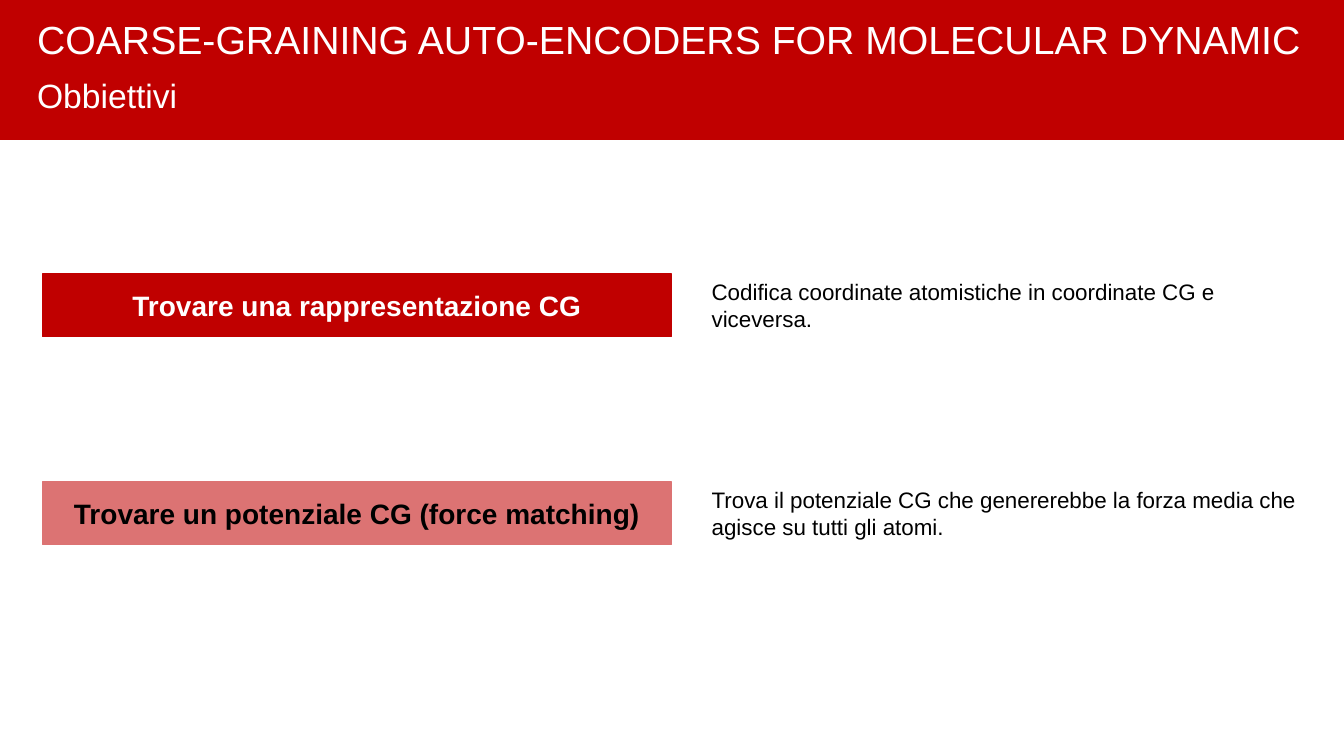
from lxml.etree import SubElement
from pptx import Presentation
from pptx.dml.color import RGBColor
from pptx.enum.shapes import MSO_SHAPE as Shape
from pptx.enum.text import MSO_ANCHOR as Anchor, PP_ALIGN as Align
from pptx.oxml.ns import qn
from pptx.util import Inches, Pt

RED, PINK, WHITE, BLACK = "C00000", "DC7373", "FFFFFF", "000000"
GOAL_HEIGHT = 0.62
GOALS = [
    (2.72, "Trovare una rappresentazione CG", PINK and RED, 100, WHITE,
     "Codifica coordinate atomistiche in coordinate CG e viceversa."),
    (4.78, "Trovare un potenziale CG (force matching)", PINK, 55, BLACK,
     "Trova il potenziale CG che genererebbe la forza media che agisce su tutti gli atomi."),
]
GOALS[0] = (*GOALS[0][:2], RED, *GOALS[0][3:])


def paint(color_format, color):
    color_format.rgb = RGBColor.from_string(color)


def write(box, text, size, color, bold=False, align=Align.LEFT, anchor=Anchor.MIDDLE):
    frame = box.text_frame
    frame.word_wrap = True
    frame.vertical_anchor = anchor
    para = frame.paragraphs[0]
    para.text = text
    para.alignment = align
    para.font.name = "Arial"
    para.font.size = Pt(size)
    para.font.bold = bold
    paint(para.font.color, color)


def add_bar(page, left, top, width, height, line_color=RED, opacity=100):
    bar = page.shapes.add_shape(
        Shape.RECTANGLE, Inches(left), Inches(top), Inches(width), Inches(height))
    bar.shadow.inherit = False
    bar.fill.solid()
    paint(bar.fill.fore_color, RED)
    paint(bar.line.color, line_color)
    bar.line.width = Pt(1)
    if opacity < 100:
        fill_color = bar.element.spPr.find(qn("a:solidFill")).find(qn("a:srgbClr"))
        SubElement(fill_color, qn("a:alpha"), val=str(opacity * 1000))
    return bar


def add_text(page, left, top, width, height, text, size, color, anchor=Anchor.TOP):
    box = page.shapes.add_textbox(
        Inches(left), Inches(top), Inches(width), Inches(height))
    write(box, text, size, color, anchor=anchor)


def add_goal(page, top, label, line_color, opacity, label_color, description):
    bar = add_bar(page, 0.42, top, 6.24, GOAL_HEIGHT, line_color, opacity)
    write(bar, label, 20, label_color, bold=True, align=Align.CENTER)
    add_text(page, 6.96, top, 6.03, GOAL_HEIGHT, description, 16, BLACK, Anchor.MIDDLE)


def main():
    deck = Presentation()
    deck.slide_width, deck.slide_height = Inches(13.33), Inches(7.5)
    page = deck.slides.add_slide(deck.slide_layouts[6])
    add_bar(page, 0, 0, 13.33, 1.38)
    add_text(page, 0.27, 0.1, 12.78, 0.57,
             "COARSE-GRAINING AUTO-ENCODERS FOR MOLECULAR DYNAMIC", 28, WHITE)
    add_text(page, 0.27, 0.69, 7.13, 0.5, "Obbiettivi", 24, WHITE)
    for goal in GOALS:
        add_goal(page, *goal)
    deck.save("out.pptx")


if __name__ == "__main__":
    main()
